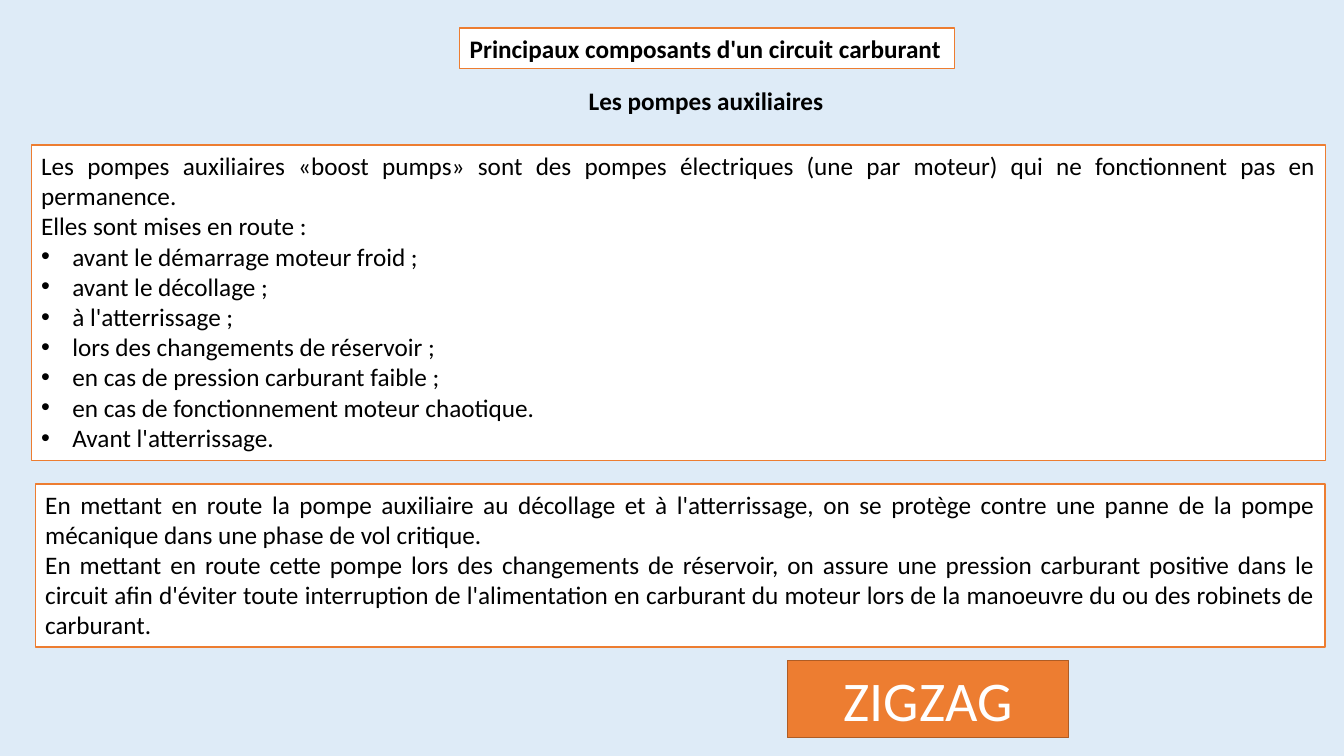
from lxml.etree import SubElement
from pptx import Presentation
from pptx.dml.color import RGBColor
from pptx.enum.shapes import MSO_SHAPE as Shape
from pptx.enum.text import MSO_ANCHOR as Anchor, MSO_AUTO_SIZE as AutoSize, PP_ALIGN as Align
from pptx.oxml.ns import qn
from pptx.util import Emu, Pt

PX = 9144  # 100 px to the inch
WHITE, BLACK, ORANGE, RUST, SKY = "FFFFFF", "000000", "ED7D31", "AF5C24", "DEEBF7"

PUMP_INTRO = [
    "Les pompes auxiliaires «boost pumps» sont des pompes électriques (une par moteur) "
    "qui ne fonctionnent pas en permanence.",
    "Elles sont mises en route :",
]
PUMP_USES = [
    "avant le démarrage moteur froid ;",
    "avant le décollage ;",
    "à l'atterrissage ;",
    "lors des changements de réservoir ;",
    "en cas de pression carburant faible ;",
    "en cas de fonctionnement moteur chaotique.",
    "Avant l'atterrissage.",
]
PUMP_REASONS = [
    "En mettant en route la pompe auxiliaire au décollage et à l'atterrissage, on se protège "
    "contre une panne de la pompe mécanique dans une phase de vol critique.",
    "En mettant en route cette pompe lors des changements de réservoir, on assure une pression "
    "carburant positive dans le circuit afin d'éviter toute interruption de l'alimentation en "
    "carburant du moteur lors de la manoeuvre du ou des robinets de carburant.",
]


def px(length):
    return Emu(length * PX)


def color(hex_string):
    return RGBColor.from_string(hex_string)


def add_bullet(paragraph, indent=31):
    props = paragraph._p.get_or_add_pPr()
    props.set("marL", str(px(indent)))
    props.set("indent", str(px(-indent)))
    SubElement(props, qn("a:buFont"), typeface="Arial")
    SubElement(props, qn("a:buChar"), char="•")


def write(frame, lines, bullets=(), size=18, ink=BLACK, bold=False, align=Align.JUSTIFY, wrap=True):
    frame.word_wrap = wrap
    frame.auto_size = AutoSize.SHAPE_TO_FIT_TEXT
    frame.vertical_anchor = Anchor.TOP
    for index, line in enumerate([*lines, *bullets]):
        paragraph = frame.paragraphs[0] if index == 0 else frame.add_paragraph()
        paragraph.text = line
        paragraph.alignment = align
        if index >= len(lines):
            add_bullet(paragraph)
        font = paragraph.font
        font.name, font.size, font.bold = "Calibri", Pt(size), bold
        font.color.rgb = color(ink)


def framed_text(slide, box, lines, fill=WHITE, border=ORANGE, **style):
    panel = slide.shapes.add_shape(Shape.RECTANGLE, *map(px, box))
    panel.shadow.inherit = False
    panel.fill.solid()
    panel.fill.fore_color.rgb = color(fill)
    panel.line.color.rgb = color(border)
    panel.line.width = Pt(1)
    write(panel.text_frame, lines, **style)


def plain_text(slide, box, lines, **style):
    write(slide.shapes.add_textbox(*map(px, box)).text_frame, lines, **style)


def auxiliary_pumps_slide(deck):
    slide = deck.slides.add_slide(deck.slide_layouts[6])
    slide.background.fill.solid()
    slide.background.fill.fore_color.rgb = color(SKY)

    framed_text(slide, (31, 144, 1284, 313), PUMP_INTRO, bullets=PUMP_USES)
    framed_text(slide, (456, 28, 491, 40), ["Principaux composants d'un circuit carburant"],
                bold=True, align=Align.LEFT, wrap=False)
    plain_text(slide, (574, 80, 254, 40), ["Les pompes auxiliaires"], bold=True, wrap=False)
    framed_text(slide, (35, 480, 1279, 162), PUMP_REASONS)
    framed_text(slide, (781, 655, 279, 77), ["ZIGZAG"], fill=ORANGE, border=RUST,
                size=40, ink=WHITE, align=Align.CENTER)


def main():
    deck = Presentation()
    deck.slide_width, deck.slide_height = px(1333), px(750)
    auxiliary_pumps_slide(deck)
    deck.save("out.pptx")


if __name__ == "__main__":
    main()
